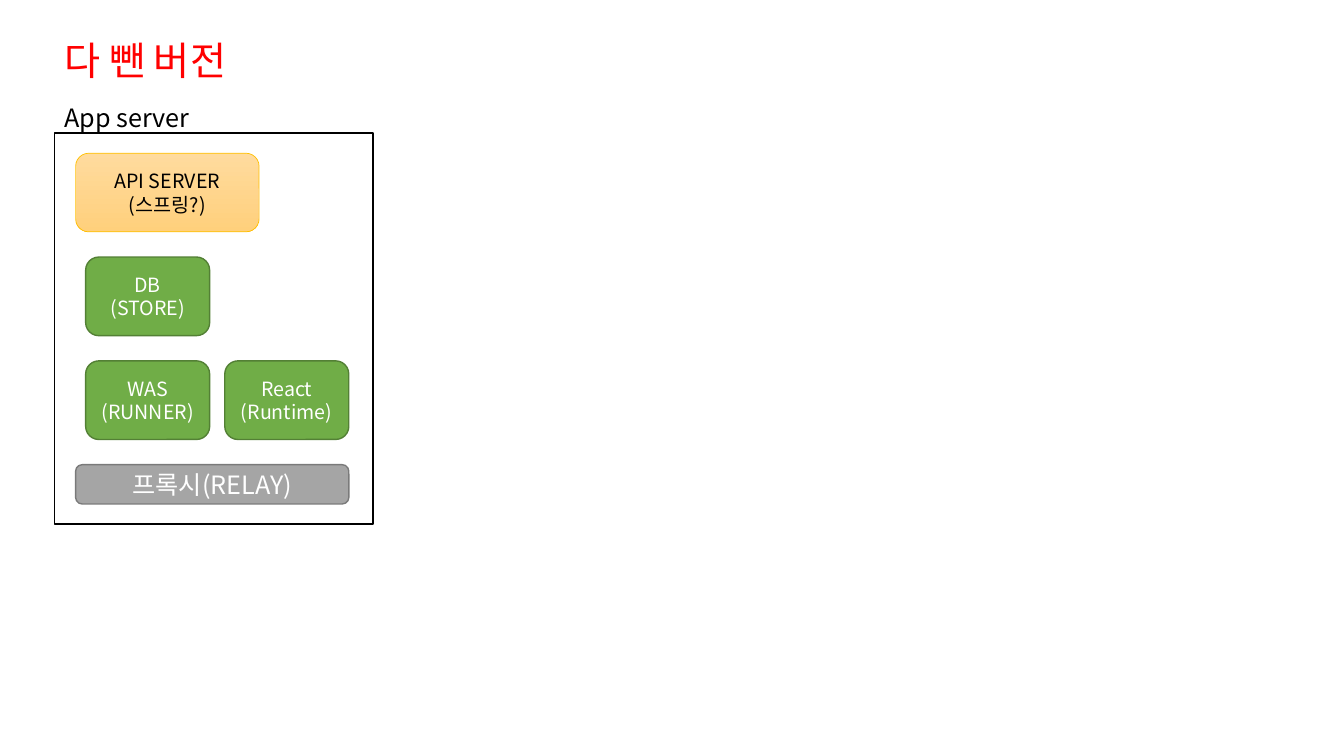
from pptx import Presentation
from pptx.dml.color import RGBColor
from pptx.enum.shapes import MSO_SHAPE
from pptx.enum.text import MSO_ANCHOR, MSO_AUTO_SIZE, PP_ALIGN
from pptx.oxml.ns import qn
from pptx.util import Inches, Pt
from lxml import etree

RECT, ROUND = MSO_SHAPE.RECTANGLE, MSO_SHAPE.ROUNDED_RECTANGLE
MIDDLE, CENTER = MSO_ANCHOR.MIDDLE, PP_ALIGN.CENTER
FIT = MSO_AUTO_SIZE.SHAPE_TO_FIT_TEXT

FONT = "Noto Sans CJK KR"
BLACK = RGBColor(0x00, 0x00, 0x00)
WHITE = RGBColor(0xFF, 0xFF, 0xFF)
RED = RGBColor(0xFF, 0x00, 0x00)
GREEN = RGBColor(0x70, 0xAD, 0x47)
DARK_GREEN = RGBColor(0x53, 0x80, 0x35)
GRAY = RGBColor(0xA5, 0xA5, 0xA5)
DARK_GRAY = RGBColor(0x7A, 0x7A, 0x7A)
GOLD = RGBColor(0xFF, 0xC0, 0x00)
PEACH = (RGBColor(0xFF, 0xDB, 0x9E), RGBColor(0xFF, 0xD0, 0x7C))

# Panel grid, in inches from the panel's corner
PAD = 0.21
INDENT = 0.31
COL_W, COL_STEP = 1.23, 1.38
ROW_H, ROW_STEP = 0.78, 1.03


def format_runs(tf, size, color):
    """Give every run the slide font, for Latin and Korean text alike."""
    for p in tf.paragraphs:
        for r in p.runs:
            r.font.size, r.font.name = Pt(size), FONT
            r.font.color.rgb = color
            ea = etree.SubElement(r.font._element, qn("a:ea"))
            ea.set("typeface", FONT)


def add_label(s, x, y, w, h, text, size, color):
    """Add a single-line text box that fits its text."""
    tf = s.shapes.add_textbox(*map(Inches, (x, y, w, h))).text_frame
    tf.text = text
    tf.word_wrap = False
    tf.auto_size = FIT
    format_runs(tf, size, color)


def add_box(s, kind, x, y, w, h, fill, line, line_width=1):
    """Add a preset shape; a pair of fill colours makes a downward gradient."""
    sp = s.shapes.add_shape(kind, *map(Inches, (x, y, w, h)))
    sp.shadow.inherit = False
    if isinstance(fill, RGBColor):
        sp.fill.solid()
        sp.fill.fore_color.rgb = fill
    else:
        sp.fill.gradient()
        sp.fill.gradient_angle = 270
        for stop, color in zip(sp.fill.gradient_stops, fill):
            stop.color.rgb = color
    sp.line.color.rgb = line
    sp.line.width = Pt(line_width)
    return sp


def set_box_text(sp, text, size, color):
    """Centre text in a box, one paragraph a line."""
    tf = sp.text_frame
    tf.text = text
    tf.word_wrap = True
    tf.vertical_anchor = MIDDLE
    for p in tf.paragraphs:
        p.alignment = CENTER
    format_runs(tf, size, color)


def add_app_server(s, x, y, w, h):
    """Draw the app server panel with its API, services and proxy rows."""
    add_box(s, RECT, x, y, w, h, WHITE, BLACK)
    add_label(s, x, y - 0.35, 1.45, 0.4, "App server", 18, BLACK)
    top = y + 0.2

    api = add_box(s, ROUND, x + PAD, top, 1.82, ROW_H, PEACH, GOLD, 0.5)
    set_box_text(api, "API SERVER\n(스프링?)", 14, BLACK)

    services = [(1, 0, "DB\n(STORE)"),
                (2, 0, "WAS\n(RUNNER)"),
                (2, 1, "React\n(Runtime)")]
    for row, col, text in services:
        sp = add_box(s, ROUND, x + INDENT + col * COL_STEP,
                     top + row * ROW_STEP, COL_W, ROW_H, GREEN, DARK_GREEN)
        set_box_text(sp, text, 14, WHITE)

    proxy = add_box(s, ROUND, x + PAD, top + 3 * ROW_STEP,
                    INDENT - PAD + COL_STEP + COL_W, ROW_H / 2,
                    GRAY, DARK_GRAY)
    set_box_text(proxy, "프록시(RELAY)", 18, WHITE)


def main():
    """Build the slide and save it."""
    prs = Presentation()
    prs.slide_width, prs.slide_height = Inches(13.33), Inches(7.5)
    s = prs.slides.add_slide(prs.slide_layouts[6])
    add_app_server(s, 0.54, 1.32, 3.16, 3.88)
    add_label(s, 0.54, 0.31, 2.05, 0.57, "다 뺀 버전", 28, RED)
    prs.save("out.pptx")


main()
